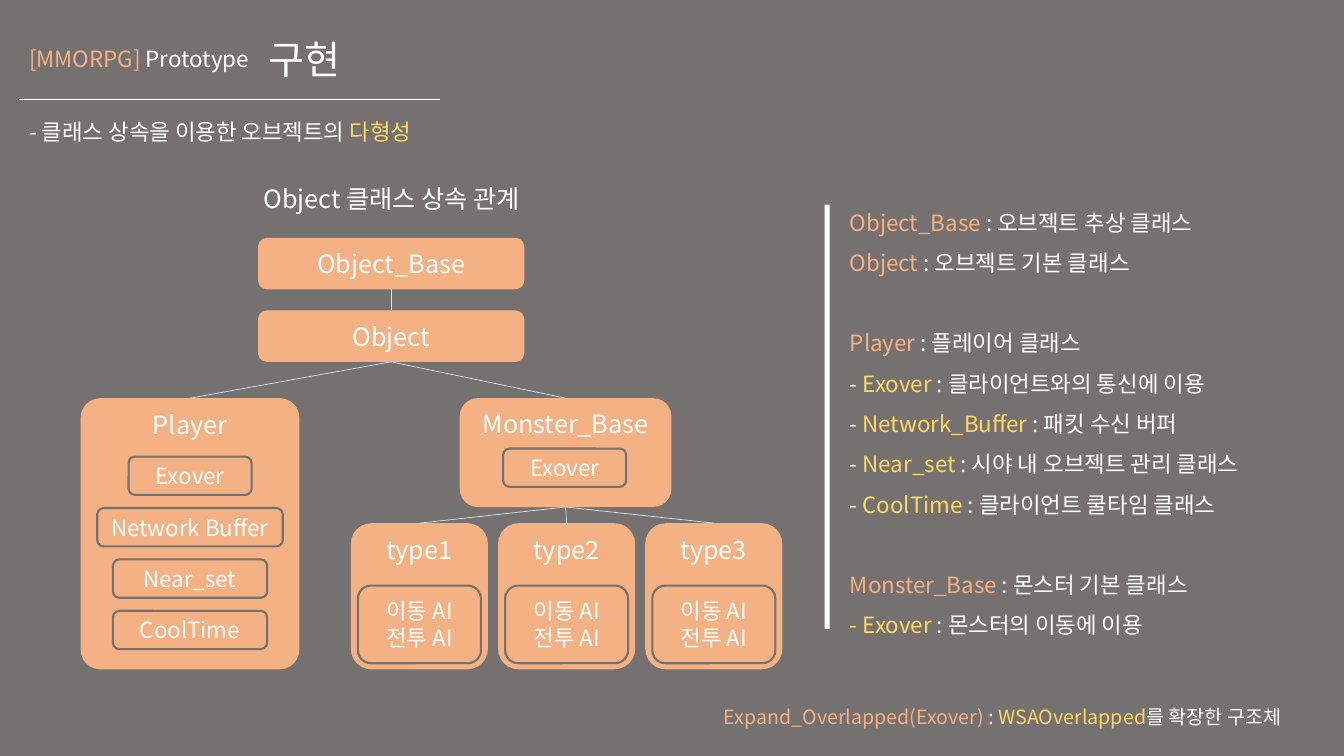
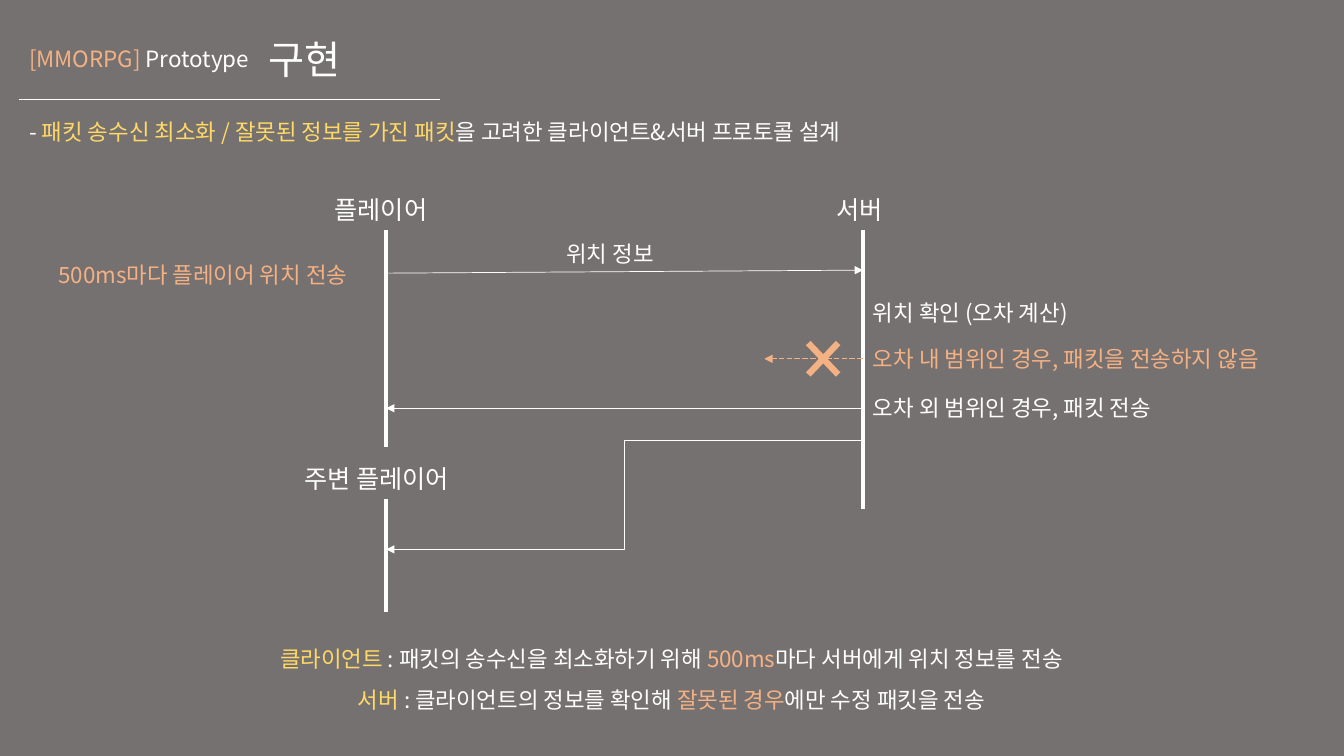
from lxml.etree import SubElement
from pptx import Presentation
from pptx.dml.color import RGBColor
from pptx.enum.dml import MSO_LINE
from pptx.enum.shapes import MSO_CONNECTOR, MSO_SHAPE
from pptx.enum.text import MSO_ANCHOR, MSO_AUTO_SIZE, PP_ALIGN
from pptx.oxml.ns import qn
from pptx.util import Inches, Pt

FONT = "Noto Sans CJK KR"
GRAY, WHITE, ORANGE, YELLOW, PALE = "767171", "FFFFFF", "F4B183", "FFD966", "DAE3F3"
TOP, BOTTOM = 0, 2


def color(hex_string):
    return RGBColor.from_string(hex_string)


class Deck:
    """Holds the shared style and the slide being built."""

    def __init__(self):
        self.presentation = Presentation()
        self.presentation.slide_width = Inches(13.33)
        self.presentation.slide_height = Inches(7.5)
        background = self.presentation.slide_master.background.fill
        background.solid()
        background.fore_color.rgb = color(GRAY)
        self.slide = None

    def add_runs(self, paragraph, runs, size):
        for text, run_color in runs:
            run = paragraph.add_run()
            run.text = text
            run.font.size = Pt(size)
            run.font.color.rgb = color(run_color)
            run.font.name = FONT
            SubElement(run.font._element, qn("a:ea"), typeface=FONT)

    def new_slide(self, subtitle, layout="Title Only"):
        """Start a slide with the common header and a subtitle line."""
        layouts = self.presentation.slide_layouts
        self.slide = self.presentation.slides.add_slide(layouts.get_by_name(layout))
        title = self.slide.shapes.title
        self.place(title, 2.56, 0.17, 1.8, 0.89)
        title.text_frame.auto_size = MSO_AUTO_SIZE.NONE
        title.text_frame.vertical_anchor = MSO_ANCHOR.MIDDLE
        paragraph = title.text_frame.paragraphs[0]
        paragraph.alignment = PP_ALIGN.LEFT
        paragraph.line_spacing = 0.9
        self.add_runs(paragraph, [("구현", WHITE)], 28)
        self.text(0.19, 0.4, 2.98, 0.37, [[("[MMORPG] ", ORANGE), ("Prototype", WHITE)]])
        self.line(4.36, 0.99, 0.19, 0.99)
        self.text(0.19, 0.99, 10.19, 0.45, [subtitle], spacing=1.5)

    def place(self, shape, left, top, width, height):
        shape.left, shape.top = Inches(left), Inches(top)
        shape.width, shape.height = Inches(width), Inches(height)

    def text(self, left, top, width, height, lines, size=16, spacing=None,
             wrap=True, centered=False):
        box = self.slide.shapes.add_textbox(
            Inches(left), Inches(top), Inches(width), Inches(height))
        frame = box.text_frame
        frame.word_wrap = wrap
        frame.auto_size = MSO_AUTO_SIZE.NONE if centered else MSO_AUTO_SIZE.SHAPE_TO_FIT_TEXT
        if centered:
            frame.vertical_anchor = MSO_ANCHOR.MIDDLE
        for index, runs in enumerate(lines):
            paragraph = frame.add_paragraph() if index else frame.paragraphs[0]
            if centered:
                paragraph.alignment = PP_ALIGN.CENTER
            if spacing:
                paragraph.line_spacing = spacing
            self.add_runs(paragraph, runs, size)

    def label(self, left, top, width, text, size=16, text_color=WHITE):
        height = 0.4 if size == 18 else 0.37
        self.text(left, top, width, height, [[(text, text_color)]], size, wrap=False)

    def body(self, left, top, width, height, groups):
        """Fill the body placeholder; each group is set apart by one line."""
        body = self.slide.placeholders[1]
        self.place(body, left, top, width, height)
        frame = body.text_frame
        frame.auto_size = MSO_AUTO_SIZE.NONE
        frame.vertical_anchor = MSO_ANCHOR.MIDDLE
        for group_index, group in enumerate(groups):
            for index, runs in enumerate(group):
                first = group_index == index == 0
                paragraph = frame.paragraphs[0] if first else frame.add_paragraph()
                paragraph.line_spacing = 1.5
                paragraph.space_before = Pt(28.8 if group_index and not index else 0)
                properties = paragraph._p.get_or_add_pPr()
                properties.set("marL", "0")
                properties.set("indent", "0")
                SubElement(properties, qn("a:buNone"))
                self.add_runs(paragraph, runs, 16)

    def shape(self, kind, left, top, width, height, fill=None, outline=None, corner=None):
        shape = self.slide.shapes.add_shape(
            kind, Inches(left), Inches(top), Inches(width), Inches(height))
        shape.shadow.inherit = False
        if corner is not None:
            shape.adjustments[0] = corner
        if fill:
            shape.fill.solid()
            shape.fill.fore_color.rgb = color(fill)
        else:
            shape.fill.background()
        if outline:
            shape.line.color.rgb = color(outline)
            shape.line.width = Pt(1.5)
        else:
            shape.line.fill.background()
        return shape

    def box(self, left, top, width, height, text, size=18, fill=ORANGE, outline=None,
            corner=None, anchor=MSO_ANCHOR.MIDDLE):
        box = self.shape(MSO_SHAPE.ROUNDED_RECTANGLE, left, top, width, height,
                         fill, outline, corner)
        box.text_frame.vertical_anchor = anchor
        paragraph = box.text_frame.paragraphs[0]
        paragraph.alignment = PP_ALIGN.CENTER
        self.add_runs(paragraph, [(text, WHITE)], size)
        return box

    def class_box(self, left, top, width, height, text, corner=None):
        return self.box(left, top, width, height, text, corner=corner, anchor=MSO_ANCHOR.TOP)

    def member(self, left, top, width, text, height=0.38):
        self.box(left, top, width, height, text, 16, fill=None, outline=GRAY)

    def line(self, x1, y1, x2, y2, line_color=WHITE, width=0.5, arrow=False,
             dash=None, kind=MSO_CONNECTOR.STRAIGHT):
        line = self.slide.shapes.add_connector(
            kind, Inches(x1), Inches(y1), Inches(x2), Inches(y2))
        line.line.color.rgb = color(line_color)
        line.line.width = Pt(width)
        if dash:
            line.line.dash_style = dash
        if arrow:
            SubElement(line.line._get_or_add_ln(), qn("a:tailEnd"), type="triangle")
        SubElement(line._element.spPr, qn("a:effectLst"))
        return line

    def inherit(self, parent, child):
        """Join the bottom of a parent class to the top of its child."""
        line = self.line(0, 0, 1, 1, PALE)
        line.begin_connect(parent, BOTTOM)
        line.end_connect(child, TOP)


def build_class_slide(deck):
    deck.new_slide([("- 클래스 상속을 이용한 오브젝트의 ", WHITE), ("다형성", YELLOW)],
                   "Title and Content")

    # Class tree
    deck.box(2.24, 1.68, 3.29, 0.57, "Object 클래스 상속 관계", fill=None)
    object_base = deck.box(2.56, 2.36, 2.64, 0.51, "Object_Base")
    object_class = deck.box(2.56, 3.08, 2.64, 0.51, "Object")
    player = deck.class_box(0.8, 3.95, 2.17, 2.69, "Player", 0.09)
    monster = deck.class_box(4.56, 3.95, 2.1, 1.08, "Monster_Base")
    deck.inherit(object_base, object_class)
    deck.inherit(object_class, player)
    deck.inherit(object_class, monster)

    # Members of each class
    members = [("Exover", 1.22), ("Network Buffer", 1.84),
               ("Near_set", 1.53), ("CoolTime", 1.53)]
    for index, (name, width) in enumerate(members):
        deck.member(0.8 + (2.17 - width) / 2, 4.53 + 0.51 * index, width, name)
    deck.member(4.99, 4.45, 1.22, "Exover")

    # Monster types
    for index in range(3):
        left = 3.48 + 1.46 * index
        monster_type = deck.class_box(left, 5.19, 1.36, 1.45, f"type{index + 1}", 0.15)
        deck.inherit(monster, monster_type)
        deck.member(left + 0.07, 5.81, 1.22, "이동 AI 전투 AI", 0.77)

    # Class descriptions
    deck.shape(MSO_SHAPE.RECTANGLE, 8.18, 2.03, 0.05, 4.21, WHITE)
    deck.body(8.33, 2.03, 4.58, 4.21, [
        [[("Object_Base ", ORANGE), (": 오브젝트 추상 클래스", WHITE)],
         [("Object ", ORANGE), (": 오브젝트 기본 클래스", WHITE)]],
        [[("Player ", ORANGE), (": 플레이어 클래스", WHITE)],
         [("- ", WHITE), ("Exover ", YELLOW), (": 클라이언트와의 통신에 이용", WHITE)],
         [("- ", WHITE), ("Network_Buffer", YELLOW), (" : 패킷 수신 버퍼", WHITE)],
         [("- ", WHITE), ("Near_set ", YELLOW), (": 시야 내 오브젝트 관리 클래스", WHITE)],
         [("- ", WHITE), ("CoolTime", YELLOW), (" : 클라이언트 쿨타임 클래스", WHITE)]],
        [[("Monster_Base ", ORANGE), (": 몬스터 기본 클래스", WHITE)],
         [("- Exover ", YELLOW), (": 몬스터의 이동에 이용", WHITE)]],
    ])
    deck.text(7.08, 6.83, 5.97, 0.41, [[
        ("Expand_Overlapped(Exover) ", ORANGE), (": ", WHITE),
        ("WSAOverlapped", YELLOW), ("를 확장한 구조체", WHITE)]], 14, 1.5)


def build_protocol_slide(deck):
    deck.new_slide([("- ", WHITE), ("패킷 송수신 최소화 / 잘못된 정보를 가진 패킷", YELLOW),
                    ("을 고려한 클라이언트&서버 프로토콜 설계", WHITE)])
    player_x, server_x = 3.83, 8.56

    # Lifelines
    for x, top, bottom, left, width, name in [
            (player_x, 2.28, 4.43, 3.22, 1.21, "플레이어"),
            (server_x, 2.28, 5.05, 8.2, 0.71, "서버"),
            (player_x, 4.95, 6.07, 2.92, 1.81, "주변 플레이어")]:
        deck.label(left, top - 0.4, width, name, 18)
        deck.line(x, top, x, bottom, width=3)

    # Messages
    deck.line(player_x, 2.71, server_x, 2.68, arrow=True)
    deck.line(server_x, 4.05, player_x, 4.05, arrow=True)
    deck.line(server_x, 4.37, player_x, 5.45, arrow=True, kind=MSO_CONNECTOR.ELBOW)
    deck.line(server_x, 3.56, 7.58, 3.56, ORANGE, arrow=True, dash=MSO_LINE.LONG_DASH)
    deck.shape(MSO_SHAPE.MATH_MULTIPLY, 7.88, 3.26, 0.57, 0.6, ORANGE, corner=0.11)

    # Message labels
    deck.label(5.52, 2.33, 1.18, "위치 정보")
    deck.label(0.48, 2.54, 3.35, "500ms마다 플레이어 위치 전송", text_color=ORANGE)
    deck.label(server_x, 2.92, 2.45, "위치 확인 (오차 계산)")
    deck.label(server_x, 3.38, 4.54, "오차 내 범위인 경우, 패킷을 전송하지 않음", text_color=ORANGE)
    deck.label(server_x, 3.86, 3.34, "오차 외 범위인 경우, 패킷 전송")

    # Summary
    deck.text(1.98, 6.29, 9.36, 0.76, [
        [("클라이언트 ", YELLOW), (": 패킷의 송수신을 최소화하기 위해 ", WHITE),
         ("500ms", ORANGE), ("마다 서버에게 위치 정보를 전송", WHITE)],
        [("서버 ", YELLOW), (": 클라이언트의 정보를 확인해 ", WHITE),
         ("잘못된 경우", ORANGE), ("에만 수정 패킷을 전송", WHITE)],
    ], spacing=1.5, centered=True)


def main():
    deck = Deck()
    build_class_slide(deck)
    build_protocol_slide(deck)
    deck.presentation.save("out.pptx")


if __name__ == "__main__":
    main()
